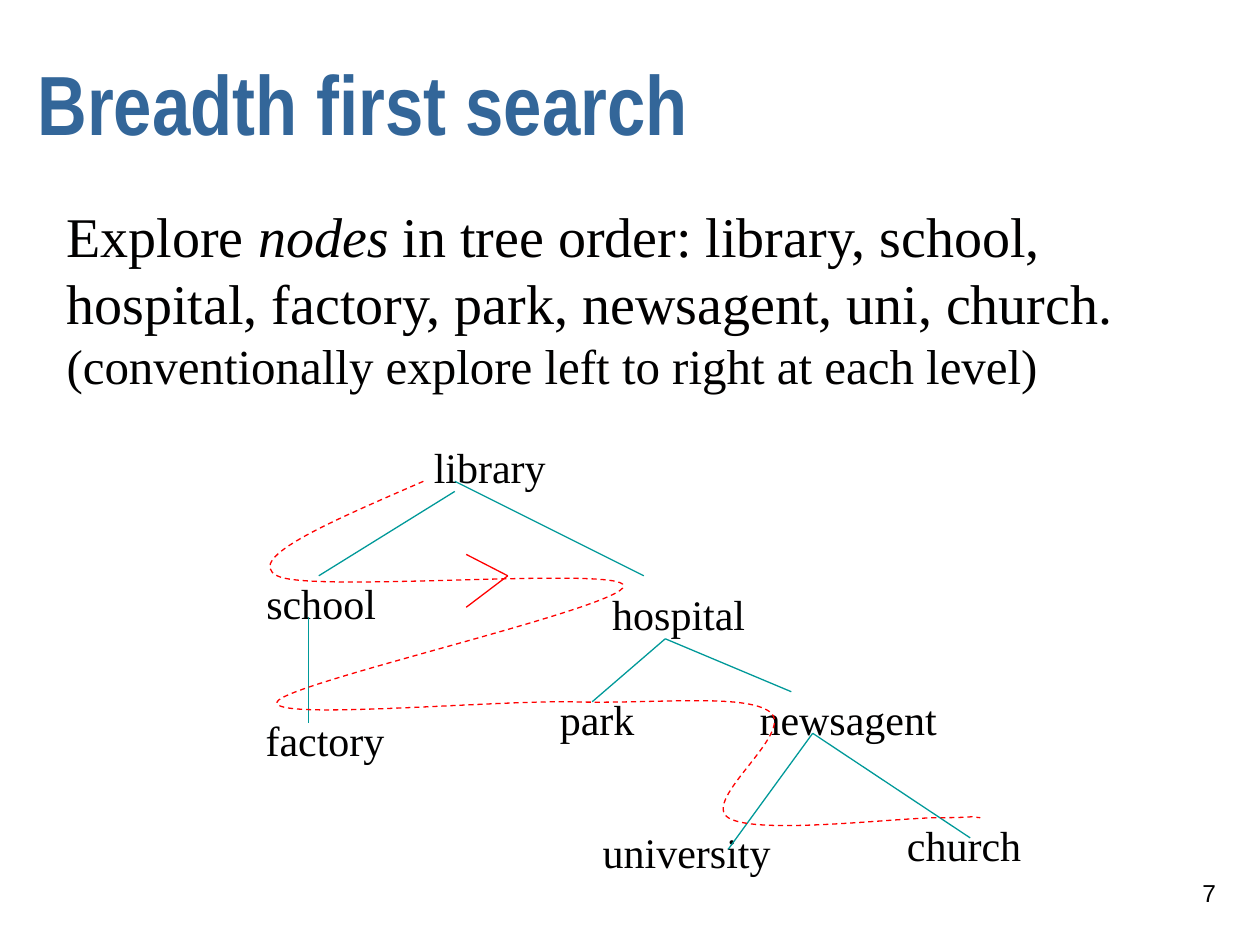
from dataclasses import dataclass

from lxml.etree import SubElement
from pptx import Presentation
from pptx.dml.color import RGBColor
from pptx.enum.dml import MSO_LINE
from pptx.enum.shapes import MSO_CONNECTOR
from pptx.enum.text import MSO_ANCHOR, MSO_AUTO_SIZE, PP_ALIGN
from pptx.oxml.ns import qn
from pptx.util import Inches, Pt


@dataclass(frozen=True)
class Theme:
    title_color: RGBColor = RGBColor(0x33, 0x66, 0x99)
    text_color: RGBColor = RGBColor(0x01, 0x00, 0x00)
    branch_color: RGBColor = RGBColor(0x00, 0x99, 0x99)
    route_color: RGBColor = RGBColor(0xFF, 0x00, 0x00)
    title_font: str = "Arial Narrow"
    body_font: str = "Times New Roman"
    number_font: str = "Arial"
    title_size: int = 48
    body_size: int = 32
    remark_size: int = 28
    node_size: int = 24
    number_size: int = 14
    line_width: float = 0.75


theme = Theme()
deck = Presentation()
deck.slide_width, deck.slide_height = Inches(10), Inches(7.5)
slide = deck.slides.add_slide(deck.slide_layouts[6])

# Grid of 100 columns by 75 rows
COL = deck.slide_width / 100
ROW = deck.slide_height / 75


def add_text(place, paragraphs, font, color, wrap=True, anchor=MSO_ANCHOR.TOP):
    """Paragraphs are lists of runs: (words, size, bold, italic)."""
    left, top, width, height = place
    box = slide.shapes.add_textbox(int(left * COL), int(top * ROW),
                                   int(width * COL), int(height * ROW))
    frame = box.text_frame
    frame.word_wrap = wrap
    frame.vertical_anchor = anchor
    frame.auto_size = MSO_AUTO_SIZE.NONE if wrap else MSO_AUTO_SIZE.SHAPE_TO_FIT_TEXT
    for index, runs in enumerate(paragraphs):
        paragraph = frame.add_paragraph() if index else frame.paragraphs[0]
        for words, size, bold, italic in runs:
            run = paragraph.add_run()
            run.text = words
            run.font.name, run.font.size = font, Pt(size)
            run.font.bold, run.font.italic = bold, italic
            run.font.color.rgb = color
    return frame


def add_line(start, end, color):
    line = slide.shapes.add_connector(
        MSO_CONNECTOR.STRAIGHT, int(start[0] * COL), int(start[1] * ROW),
        int(end[0] * COL), int(end[1] * ROW))
    line.line.color.rgb = color
    line.line.width = Pt(theme.line_width)
    SubElement(line._element.spPr, qn("a:effectLst"))


# Title
title = add_text((2, 2.8, 86.7, 12.5),
                 [[("Breadth first search", theme.title_size, True, False)]],
                 theme.title_font, theme.title_color, anchor=MSO_ANCHOR.MIDDLE)
title.paragraphs[0].line_spacing = 0.7

# Tree nodes: left, top, width
nodes = {
    "library": (33.45, 34.55, 11.1),
    "school": (20.15, 45.35, 10.9),
    "hospital": (47.6, 46.2, 12.8),
    "factory": (20.1, 56.2, 11.7),
    "park": (43.45, 54.55, 8.1),
    "newsagent": (59.3, 54.55, 16.3),
    "university": (46.85, 65.1, 15.5),
    "church": (71, 64.55, 11.3),
}
for place_name, (left, top, width) in nodes.items():
    add_text((left, top, width, 5), [[(place_name, theme.node_size, False, False)]],
             theme.body_font, theme.text_color, wrap=False)

# Tree branches
branches = [
    ((36.1, 39), (25.3, 45.7)),      # library - school
    ((36.1, 38.2), (51.1, 45.7)),    # library - hospital
    ((24.5, 49), (24.5, 57.4)),      # school - factory
    ((52.8, 50.7), (47, 55.7)),      # hospital - park
    ((52.8, 50.7), (62.8, 54.9)),    # hospital - newsagent
    ((64.5, 58.2), (57.8, 67.4)),    # newsagent - university
    ((64.5, 58.2), (77, 66.5)),      # newsagent - church
]
for parent, child in branches:
    add_line(parent, child, theme.branch_color)

# Search route: cubic curves, each given by two control points and an end
route_start = (33.6, 38.2)
route_curves = [
    ((26.5, 41.3), (19.3, 44.3), (22, 45.7)),
    ((24.6, 47.1), (49.5, 44.9), (49.5, 46.5)),
    ((49.5, 48.2), (22.7, 54.2), (22, 55.7)),
    ((21.3, 57.2), (38.8, 55.6), (45.3, 55.7)),
    ((51.8, 55.9), (59.1, 55), (61.1, 56.5)),
    ((63.2, 58.1), (55.6, 63.5), (57.8, 64.9)),
    ((60, 66.3), (71.1, 64.9), (74.5, 64.9)),
    ((77.8, 64.9), (77.1, 64.7), (77.8, 64.9)),
]
builder = slide.shapes.build_freeform(int(route_start[0] * COL), int(route_start[1] * ROW))
builder.add_line_segments([(int(x * COL), int(y * ROW))
                           for curve in route_curves for x, y in curve], close=False)
route = builder.convert_to_shape()
route.shadow.inherit = False
route.fill.background()
route.line.color.rgb = theme.route_color
route.line.width = Pt(theme.line_width)
route.line.dash_style = MSO_LINE.DASH

# Turn every three straight segments of the route into one cubic curve
segments = list(route._element.iter(qn("a:lnTo")))
outline = segments[0].getparent()
for first in range(0, len(segments), 3):
    curve = SubElement(outline, qn("a:cubicBezTo"))
    for segment in segments[first:first + 3]:
        curve.append(segment[0])
        outline.remove(segment)

# Direction mark on the route
mark_tip = (40.3, 45.7)
for mark_end in ((37, 44), (37, 48.2)):
    add_line(mark_end, mark_tip, theme.route_color)

# Explanation
explanation = [
    [("Explore ", theme.body_size, False, False),
     ("nodes ", theme.body_size, False, True),
     ("in tree order: library, school,", theme.body_size, False, False)],
    [("hospital, factory, park, newsagent, uni, church.", theme.body_size, False, False)],
    [("(conventionally explore left to right at each level)",
      theme.remark_size, False, False)],
]
add_text((4.3, 15.5, 85.4, 16.4), explanation, theme.body_font, theme.text_color, wrap=False)

# Slide number
number = add_text((76.7, 68.35, 20.8, 5), [[("7", theme.number_size, False, False)]],
                  theme.number_font, theme.text_color, anchor=MSO_ANCHOR.MIDDLE)
number.paragraphs[0].alignment = PP_ALIGN.RIGHT

deck.save("out.pptx")
